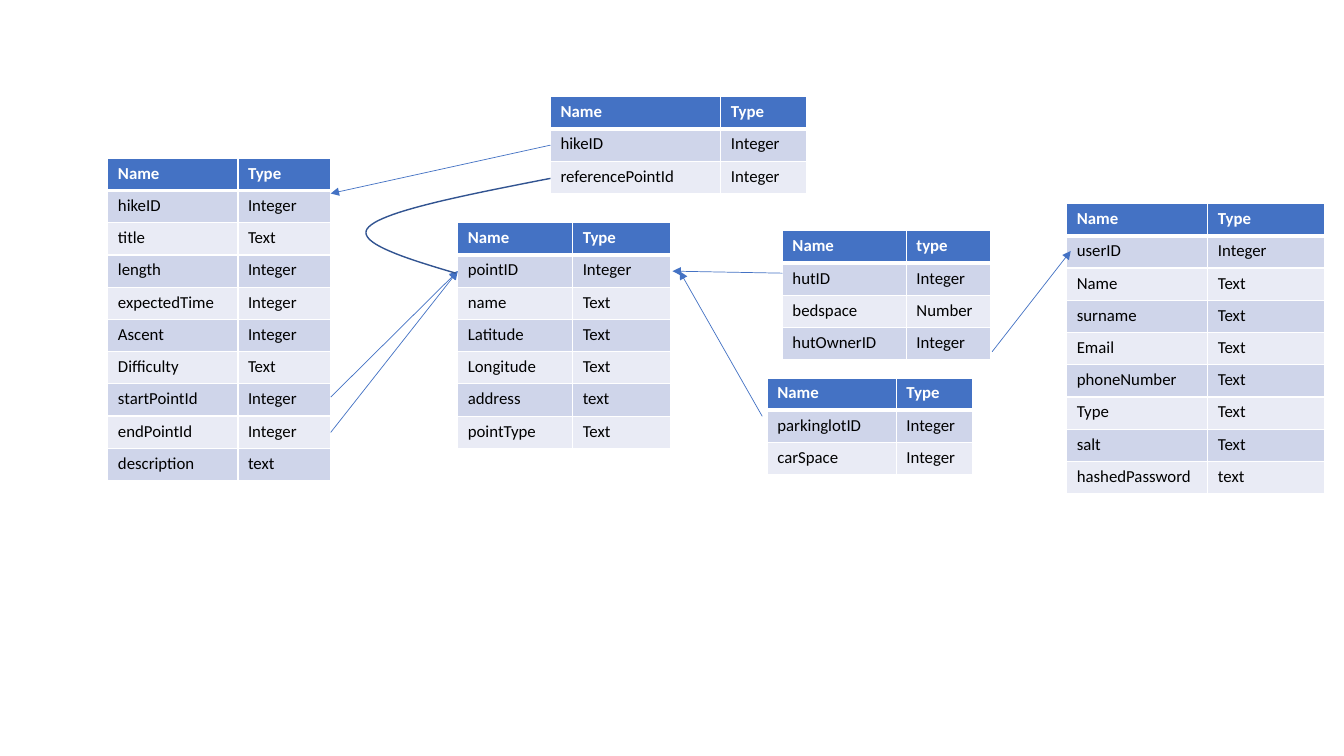
from lxml import etree
from pptx import Presentation
from pptx.dml.color import RGBColor
from pptx.enum.shapes import MSO_CONNECTOR
from pptx.oxml.ns import qn
from pptx.util import Inches, Pt

BLUE = RGBColor(0x44, 0x72, 0xC4)
DARK_BLUE = RGBColor(0x32, 0x54, 0x91)
BAND_DARK = RGBColor(0xCF, 0xD5, 0xEA)
BAND_LIGHT = RGBColor(0xE9, 0xEB, 0xF5)
WHITE = RGBColor(0xFF, 0xFF, 0xFF)
BLACK = RGBColor(0x00, 0x00, 0x00)


class SchemaSlide:
    """Holds the style and the slide; lengths are steps of a square grid."""

    font, size = "Calibri", Pt(12)
    step = Inches(0.1)
    row_height = 3.2
    curve_steps = 24

    def __init__(self, slide):
        self.slide = slide

    def grid(self, *lengths):
        return [round(length * self.step) for length in lengths]

    def entity(self, left, top, widths, fields, header=("Name", "Type")):
        records = [header] + [field.split() for field in fields]
        box = self.grid(left, top, sum(widths), self.row_height * len(records))
        table = self.slide.shapes.add_table(len(records), len(widths), *box).table
        for column, width in zip(table.columns, self.grid(*widths)):
            column.width = width
        for r, record in enumerate(records):
            table.rows[r].height = self.grid(self.row_height)[0]
            for c, words in enumerate(record):
                self.cell(table.cell(r, c), words, r)

    def cell(self, cell, words, row):
        heading = row == 0
        self.borders(cell, bottom=3 if heading else 1, top=3 if row == 1 else 1)
        cell.fill.solid()
        band = BAND_DARK if row % 2 else BAND_LIGHT
        cell.fill.fore_color.rgb = BLUE if heading else band
        run = cell.text_frame.paragraphs[0].add_run()
        run.text = words
        run.font.name, run.font.size = self.font, self.size
        run.font.bold = heading
        run.font.color.rgb = WHITE if heading else BLACK

    def borders(self, cell, bottom, top):
        properties = cell._tc.get_or_add_tcPr()
        for side, width in (("L", 1), ("R", 1), ("T", top), ("B", bottom)):
            edge = etree.SubElement(properties, qn(f"a:ln{side}"), w=str(Pt(width)))
            fill = etree.SubElement(edge, qn("a:solidFill"))
            etree.SubElement(fill, qn("a:srgbClr"), val=str(WHITE))

    def arrow(self, start, end):
        link = self.slide.shapes.add_connector(
            MSO_CONNECTOR.STRAIGHT, *self.grid(*start, *end))
        link.line.color.rgb, link.line.width = BLUE, Pt(0.5)
        etree.SubElement(link.line._get_or_add_ln(), qn("a:tailEnd"), type="triangle")
        etree.SubElement(link._element.spPr, qn("a:effectLst"))

    def curve(self, start, *bends):
        points = []
        for bend in bends:
            points += [self.bezier(start, *bend, i / self.curve_steps)
                       for i in range(1, self.curve_steps + 1)]
            start = bend[-1]
        return points

    @staticmethod
    def bezier(a, b, c, d, t):
        u = 1 - t
        return tuple(u**3 * p + 3 * u * u * t * q + 3 * u * t * t * r + t**3 * s
                     for p, q, r, s in zip(a, b, c, d))

    def curved_link(self, start, *bends):
        builder = self.slide.shapes.build_freeform(*self.grid(*start))
        points = [self.grid(*point) for point in self.curve(start, *bends)]
        builder.add_line_segments(points, close=False)
        link = builder.convert_to_shape()
        link.shadow.inherit = False
        link.fill.background()
        link.line.color.rgb, link.line.width = DARK_BLUE, Pt(1)


deck = Presentation()
deck.slide_width, deck.slide_height = Inches(13.33), Inches(7.5)
schema = SchemaSlide(deck.slides.add_slide(deck.slide_layouts[6]))

# Hikes and their reference points
schema.entity(10.7, 15.7, (12.9, 9.2), [
    "hikeID Integer", "title Text", "length Integer", "expectedTime Integer",
    "Ascent Integer", "Difficulty Text", "startPointId Integer",
    "endPointId Integer", "description text"])
schema.entity(54.6, 9.6, (16.9, 8.5), [
    "hikeID Integer", "referencePointId Integer"])

# Points, parking lots and huts
schema.entity(45.4, 22.1, (11.4, 9.7), [
    "pointID Integer", "name Text", "Latitude Text", "Longitude Text",
    "address text", "pointType Text"])
schema.entity(76.1, 37.5, (12.8, 7.6), [
    "parkinglotID Integer", "carSpace Integer"])
schema.entity(77.6, 22.9, (12.3, 8.4), [
    "hutID Integer", "bedspace Number", "hutOwnerID Integer"],
    header=("Name", "type"))

# Users
schema.entity(105.8, 20.2, (14, 11.6), [
    "userID Integer", "Name Text", "surname Text", "Email Text",
    "phoneNumber Text", "Type Text", "salt Text", "hashedPassword text"])

# Foreign keys
point_key = (45.4, 26.9)
for hike_field in ((32.8, 39.4), (32.8, 42.9)):
    schema.arrow(hike_field, point_key)
schema.arrow((54.6, 14.4), (32.8, 19.2))
schema.curved_link((54.6, 17.7),
                   ((46.4, 19.3), (38.2, 20.9), (36.6, 22.5)),
                   ((35, 24), (40.1, 25.6), (45.2, 27.1)))
schema.arrow((77.6, 27.1), (66.7, 26.9))
schema.arrow((75.6, 41.3), (67.4, 26.9))
schema.arrow((98.4, 34.9), (106.2, 24.9))

deck.save("out.pptx")
